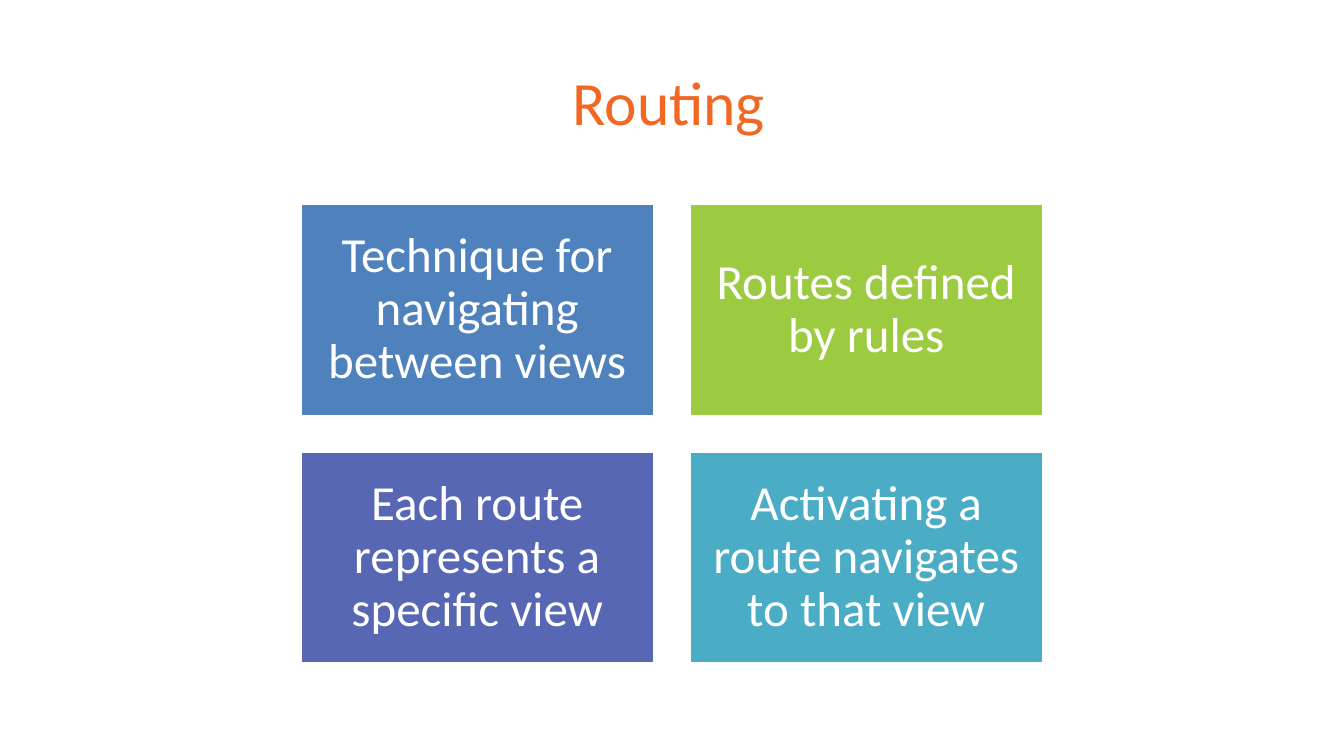
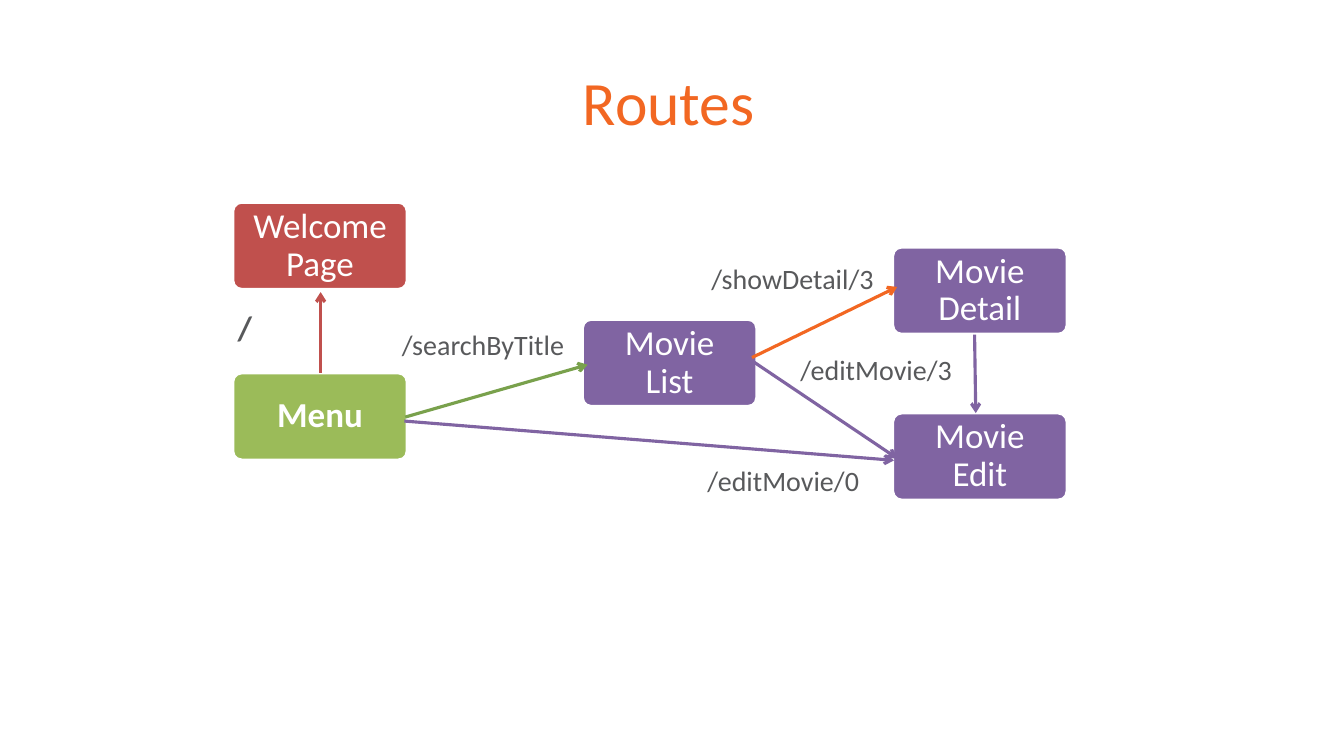
from lxml import etree
from pptx import Presentation
from pptx.dml.color import RGBColor
from pptx.enum.shapes import MSO_CONNECTOR, MSO_SHAPE
from pptx.enum.text import MSO_ANCHOR, MSO_AUTO_SIZE, PP_ALIGN
from pptx.oxml.ns import qn
from pptx.util import Cm, Pt

RECTANGLE, ROUNDED = MSO_SHAPE.RECTANGLE, MSO_SHAPE.ROUNDED_RECTANGLE
STRAIGHT = MSO_CONNECTOR.STRAIGHT
LEFT, CENTER = PP_ALIGN.LEFT, PP_ALIGN.CENTER
TOP, MIDDLE = MSO_ANCHOR.TOP, MSO_ANCHOR.MIDDLE
NO_AUTOFIT = MSO_AUTO_SIZE.NONE

FONT = "Calibri"
WHITE, GRAY, ORANGE = "FFFFFF", "58595B", "F26722"
BLUE, LIME, INDIGO, TEAL = "4F81BD", "9CCB42", "5767B4", "4BACC6"
RED, OLIVE, GREEN, PURPLE = "C0504D", "9BBB59", "79A14C", "8064A2"

TITLE_LAYOUT = 5
TITLE_BOX = (1.73, 0.51, 30.5, 4.37)
TILES_BOX = (7.57, 5.13, 18.72, 11.6)
TILE_GAP = 0.89
MAP_ORIGIN = (5.87, 5.1)
NODE_SIZE = (4.39, 2.19)
LABEL_HEIGHT = 1.12

TITLE_STYLE = {"size": 44, "color": ORANGE, "spacing": 0.85,
               "insets": (0, 0.13, 0.25, 0.13)}
TILE_STYLE = {"size": 35, "insets": (0.38,) * 4}
NODE_STYLE = {"size": 25, "insets": (0.1,) * 4}
LABEL_STYLE = {"color": GRAY, "spacing": 1, "align": LEFT, "anchor": TOP,
               "insets": (0.25, 0.13, 0.25, 0.13)}

TILES = [
    ("Technique for navigating between views", BLUE),
    ("Routes defined by rules", LIME),
    ("Each route represents a specific view", INDIGO),
    ("Activating a route navigates to that view", TEAL),
]

# Places on the route map are measured in cm from its top left corner.
NODES = [
    ("Menu", OLIVE, (0, 4.3), True),
    ("Movie\nList", PURPLE, (8.81, 2.95), False),
    ("Movie Detail", PURPLE, (16.63, 1.13), False),
    ("Movie\nEdit", PURPLE, (16.63, 5.31), False),
    ("Welcome Page", RED, (0, 0), False),
]
ROUTES = [
    (PURPLE, (4.32, 5.51), (16.66, 6.5)),
    (GREEN, (4.34, 5.41), (8.94, 4.09)),
    (ORANGE, (13.08, 3.91), (16.74, 2.13)),
    (PURPLE, (13.11, 4.01), (16.74, 6.45)),
    (RED, (2.21, 4.29), (2.21, 2.26)),
    (PURPLE, (18.69, 3.33), (18.72, 5.31)),
]
PATHS = [
    ("/", (-0.13, 2.51), 1.55, 24, True),
    ("/searchByTitle", (4.01, 3.02), 4.7, 20, False),
    ("/editMovie/0", (11.71, 6.45), 4.93, 20, False),
    ("/showDetail/3", (11.81, 1.37), 4.93, 20, False),
    ("/editMovie/3", (14.05, 3.66), 4.93, 20, False),
]


def rgb(value):
    return RGBColor.from_string(value)


def cm(*lengths):
    return [Cm(length) for length in lengths]


def assign(target, values):
    for name, value in values.items():
        setattr(target, name, value)


def shifted(origin, point):
    return origin[0] + point[0], origin[1] + point[1]


def write(shape, text, size, insets, color=WHITE, bold=False, spacing=0.9,
          align=CENTER, anchor=MIDDLE):
    frame = shape.text_frame
    sides = ("margin_left", "margin_top", "margin_right", "margin_bottom")
    assign(frame, dict(zip(sides, cm(*insets))))
    assign(frame, {"word_wrap": True, "auto_size": NO_AUTOFIT,
                   "vertical_anchor": anchor})
    paragraph = frame.paragraphs[0]
    paragraph.text = text
    assign(paragraph, {"alignment": align, "line_spacing": spacing})
    for run in paragraph.runs:
        assign(run.font, {"name": FONT, "size": Pt(size), "bold": bold})
        run.font.color.rgb = rgb(color)


def add_block(slide, preset, box, fill):
    block = slide.shapes.add_shape(preset, *cm(*box))
    block.shadow.inherit = False
    block.fill.solid()
    block.fill.fore_color.rgb = rgb(fill)
    block.line.color.rgb = rgb(WHITE)
    block.line.width = Pt(2)
    return block


def add_arrow(slide, start, end, color):
    arrow = slide.shapes.add_connector(STRAIGHT, *cm(*start, *end))
    arrow.line.color.rgb = rgb(color)
    arrow.line.width = Pt(2.25)
    etree.SubElement(arrow.line._get_or_add_ln(), qn("a:tailEnd"), type="arrow")
    etree.SubElement(arrow._element.spPr, qn("a:effectLst"))


def add_titled_slide(deck, text):
    slide = deck.slides.add_slide(deck.slide_layouts[TITLE_LAYOUT])
    title = slide.shapes.title
    assign(title, dict(zip(("left", "top", "width", "height"), cm(*TITLE_BOX))))
    write(title, text, **TITLE_STYLE)
    return slide


def add_tiles(slide, box, columns=2):
    """Fill the box with equal tiles, row by row."""
    left, top, width, height = box
    rows = -(-len(TILES) // columns)
    tile_width = (width - TILE_GAP * (columns - 1)) / columns
    tile_height = (height - TILE_GAP * (rows - 1)) / rows
    for index, (text, fill) in enumerate(TILES):
        row, column = divmod(index, columns)
        place = (left + column * (tile_width + TILE_GAP),
                 top + row * (tile_height + TILE_GAP))
        tile = add_block(slide, RECTANGLE, (*place, tile_width, tile_height), fill)
        write(tile, text, **TILE_STYLE)


def add_route_map(slide, origin):
    for text, fill, place, bold in NODES:
        node = add_block(slide, ROUNDED, (*shifted(origin, place), *NODE_SIZE), fill)
        node.adjustments[0] = 0.1
        write(node, text, bold=bold, **NODE_STYLE)
    for color, start, end in ROUTES:
        add_arrow(slide, shifted(origin, start), shifted(origin, end), color)
    for text, place, width, size, bold in PATHS:
        label = slide.shapes.add_textbox(
            *cm(*shifted(origin, place), width, LABEL_HEIGHT))
        write(label, text, size=size, bold=bold, **LABEL_STYLE)


def main():
    deck = Presentation()
    deck.slide_width, deck.slide_height = cm(33.87, 19.05)
    add_tiles(add_titled_slide(deck, "Routing"), TILES_BOX)
    add_route_map(add_titled_slide(deck, "Routes"), MAP_ORIGIN)
    deck.save("out.pptx")


if __name__ == "__main__":
    main()
